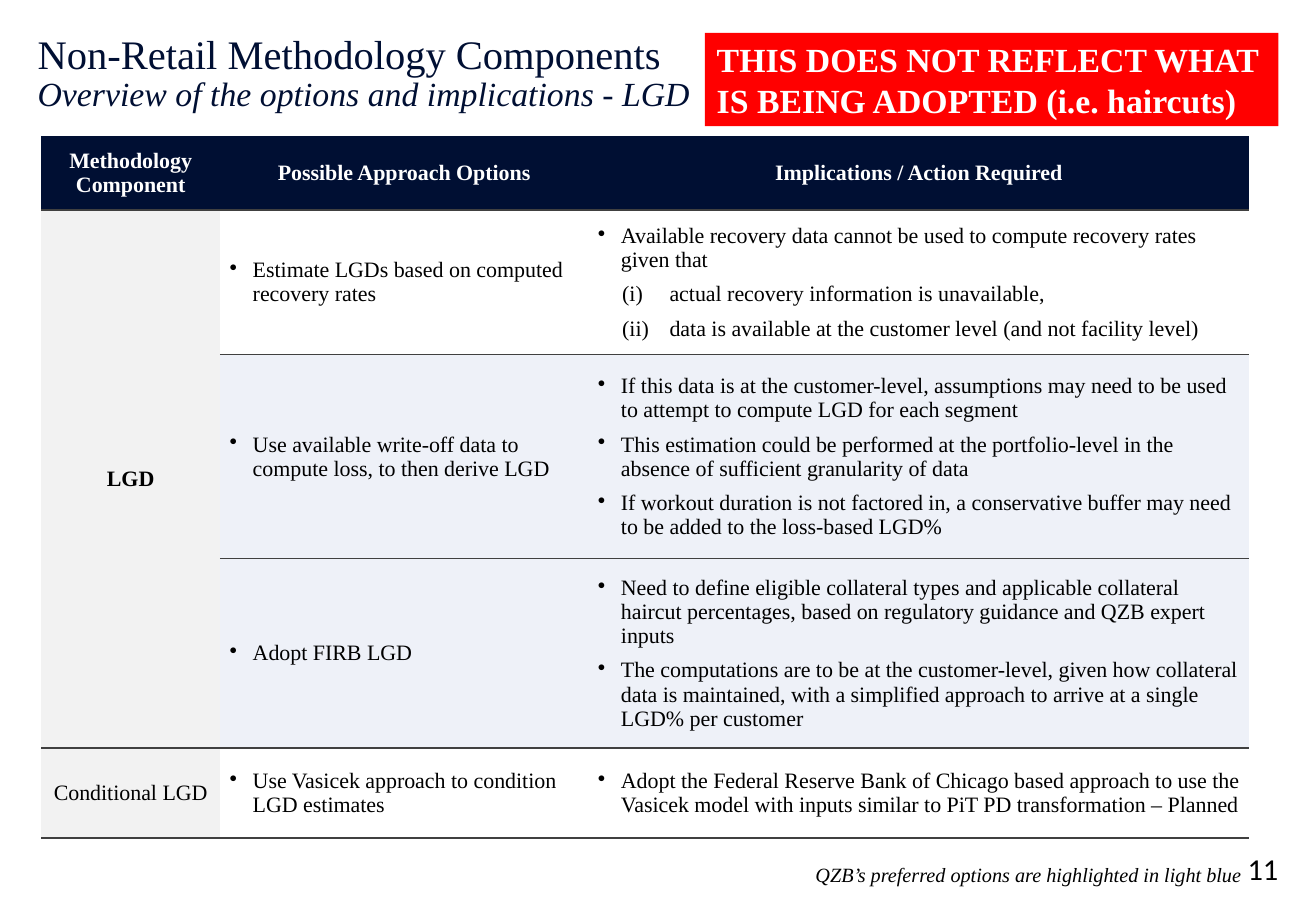
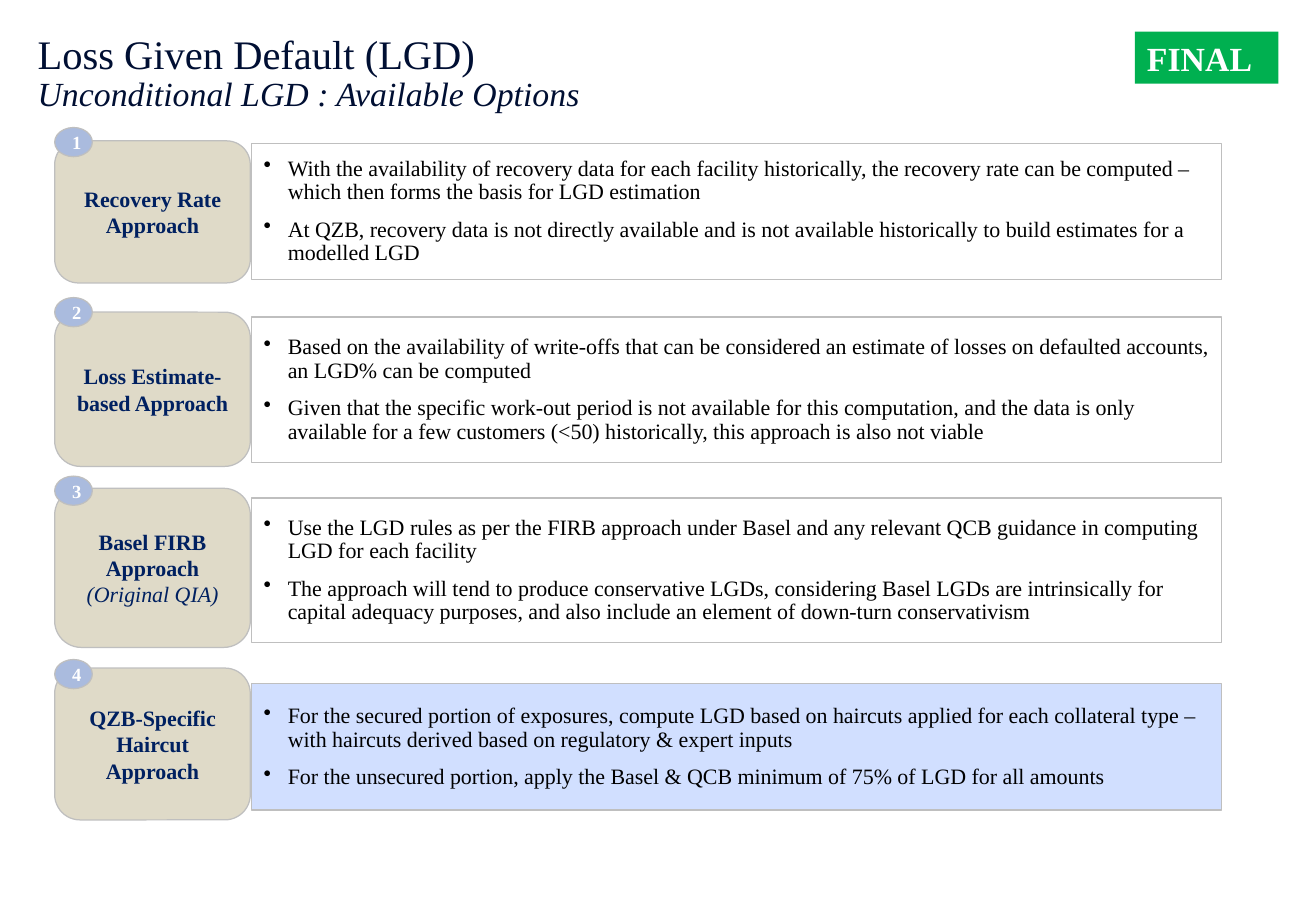
import pptx
import pptx.util
import pptx.dml.color
import pptx.enum.shapes
import pptx.enum.text
import pptx.oxml.ns
import lxml.etree

Inches = pptx.util.Inches
Pt = pptx.util.Pt
RGBColor = pptx.dml.color.RGBColor
Shape = pptx.enum.shapes.MSO_SHAPE
Align = pptx.enum.text.PP_ALIGN
Anchor = pptx.enum.text.MSO_ANCHOR

NAVY = RGBColor(0x00, 0x0F, 0x33)
BLUE_TEXT = RGBColor(0x00, 0x20, 0x60)
BLACK = RGBColor(0x00, 0x00, 0x00)
WHITE = RGBColor(0xFF, 0xFF, 0xFF)
RED = RGBColor(0xFF, 0x00, 0x00)
GREEN = RGBColor(0x00, 0xB0, 0x50)
SAND = RGBColor(0xDF, 0xDA, 0xC8)
BADGE_BLUE = RGBColor(0xAA, 0xBB, 0xDE)
CHOSEN_BLUE = RGBColor(0xD1, 0xDF, 0xFF)
PALE_BLUE = RGBColor(0xEE, 0xF1, 0xF8)
PALE_GREY = RGBColor(0xF2, 0xF2, 0xF2)
LINE_GREY = RGBColor(0xBF, 0xBF, 0xBF)
RULE_GREY = RGBColor(0x40, 0x40, 0x40)

SERIF = "Times New Roman"
NO_GRID_STYLE = "{2D5ABB26-0587-4C30-8999-92F81FD0307C}"
DOT = ("buChar", {"char": "•"})
ROMAN = ("buAutoNum", {"type": "romanLcParenBoth"})


def add_element(parent, tag, **attributes):
    return lxml.etree.SubElement(parent, pptx.oxml.ns.qn("a:" + tag), attributes)


def set_all(target, values):
    for name, value in values.items():
        setattr(target, name, value)


class Builder:
    """Holds the deck style and the current page."""

    def __init__(self):
        self.deck = pptx.Presentation()
        self.deck.slide_width = Inches(10.83)
        self.deck.slide_height = Inches(7.5)
        self.page = None

    def new_page(self, title, subtitle):
        self.page = self.deck.slides.add_slide(self.deck.slide_layouts[6])
        frame = self.text_box((0.31, 0.28, 10.2, 1.01), inset=(0, 0))
        self.para(frame, title, size=24, color=NAVY, line_spacing=0.9)
        self.para(frame, subtitle, size=20, color=NAVY, italic=True, line_spacing=0.9)

    def para(self, frame, text, size=13, color=BLACK, font=SERIF, bold=False,
             italic=False, bullet=None, indent=(0, 0), gap=0, **layout):
        """Write one paragraph; gap is the space before all but the first."""
        first = not frame.text
        para = frame.paragraphs[0] if first else frame.add_paragraph()
        if bullet:
            properties = para._p.get_or_add_pPr()
            properties.set("marL", str(Inches(indent[0])))
            properties.set("indent", str(Inches(indent[1])))
            add_element(properties, bullet[0], **bullet[1])
        set_all(para, {"alignment": Align.LEFT, **layout})
        if gap and not first:
            para.space_before = Pt(gap)
        span = para.add_run()
        span.text = text
        set_all(span.font, {"name": font, "size": Pt(size), "bold": bold, "italic": italic})
        span.font.color.rgb = color

    def prepare(self, frame, anchor, inset):
        across, down = (Inches(value) for value in inset)
        set_all(frame, {"word_wrap": True, "vertical_anchor": anchor,
                        "margin_left": across, "margin_right": across,
                        "margin_top": down, "margin_bottom": down})
        return frame

    def text_box(self, place, anchor=Anchor.TOP, inset=(0.1, 0.05)):
        box = self.page.shapes.add_textbox(*map(Inches, place))
        return self.prepare(box.text_frame, anchor, inset)

    def shape(self, kind, place, fill, line=LINE_GREY, anchor=Anchor.MIDDLE):
        box = self.page.shapes.add_shape(kind, *map(Inches, place))
        box.shadow.inherit = False
        box.fill.solid()
        box.fill.fore_color.rgb = fill
        if line is None:
            box.line.fill.background()
        else:
            box.line.color.rgb = line
            box.line.width = Pt(0.75)
        return self.prepare(box.text_frame, anchor, (0.1, 0.05))

    def stamp(self, place, fill, text):
        frame = self.shape(Shape.RECTANGLE, place, fill, None, Anchor.TOP)
        self.para(frame, text, size=20, color=WHITE, bold=True)

    def option(self, number, card, panel, badge_top, name, note, points, fill):
        """A numbered card with its panel of points; card and panel are (top, height)."""
        frame = self.shape(Shape.ROUNDED_RECTANGLE, (0.45, card[0], 1.61, card[1]), SAND)
        self.para(frame, name, color=BLUE_TEXT, bold=True, alignment=Align.CENTER)
        if note:
            self.para(frame, note, color=BLUE_TEXT, italic=True, alignment=Align.CENTER)
        frame = self.shape(Shape.RECTANGLE, (2.07, panel[0], 7.98, panel[1]), fill)
        for point in points:
            self.para(frame, point, bullet=DOT, indent=(0.2, -0.2), gap=8, line_spacing=0.9)
        frame = self.shape(Shape.OVAL, (0.45, badge_top, 0.31, 0.24), BADGE_BLUE)
        self.para(frame, str(number), size=11, color=WHITE, bold=True, alignment=Align.CENTER)

    def table(self, left, top, widths, heights):
        box = self.page.shapes.add_table(
            len(heights), len(widths), Inches(left), Inches(top),
            Inches(sum(widths)), Inches(sum(heights)))
        table = box.table
        table._tbl.tblPr.find(pptx.oxml.ns.qn("a:tableStyleId")).text = NO_GRID_STYLE
        set_all(table, {"first_row": False, "horz_banding": False})
        for column, width in zip(table.columns, widths):
            column.width = Inches(width)
        for row, height in zip(table.rows, heights):
            row.height = Inches(height)
        return table

    def cell(self, cell, fill):
        """Fill a cell, rule its bottom edge and return its text frame."""
        set_all(cell, {"vertical_anchor": Anchor.MIDDLE, "margin_top": 0, "margin_bottom": 0,
                       "margin_left": Inches(0.08), "margin_right": Inches(0.08)})
        properties = cell._tc.get_or_add_tcPr()
        rule = add_element(properties, "lnB", w=str(Pt(1)))
        add_element(add_element(rule, "solidFill"), "srgbClr", val=str(RULE_GREY))
        cell.fill.solid()
        cell.fill.fore_color.rgb = fill
        return cell.text_frame

    def cell_points(self, frame, points):
        for point in points:
            if isinstance(point, tuple):
                bullet, text = point
                self.para(frame, text, bullet=bullet, indent=(0.59, -0.39), gap=6)
            else:
                self.para(frame, point, bullet=DOT, indent=(0.19, -0.19), gap=6)


HEADINGS = ["Methodology Component", "Possible Approach Options",
            "Implications / Action Required"]

# Component, its boldness, option, implications, fill of the option
METHODS = [
    ("LGD", True, "Estimate LGDs based on computed recovery rates", [
        "Available recovery data cannot be used to compute recovery rates given that",
        (ROMAN, "actual recovery information is unavailable,"),
        (ROMAN, "data is available at the customer level (and not facility level)"),
    ], WHITE),
    ("", True, "Use available write-off data to compute loss, to then derive LGD", [
        "If this data is at the customer-level, assumptions may need to be used to attempt "
        "to compute LGD for each segment",
        "This estimation could be performed at the portfolio-level in the absence of "
        "sufficient granularity of data",
        "If workout duration is not factored in, a conservative buffer may need to be added "
        "to the loss-based LGD%",
    ], PALE_BLUE),
    ("", True, "Adopt FIRB LGD", [
        "Need to define eligible collateral types and applicable collateral haircut "
        "percentages, based on regulatory guidance and QZB expert inputs",
        "The computations are to be at the customer-level, given how collateral data is "
        "maintained, with a simplified approach to arrive at a single LGD% per customer",
    ], PALE_BLUE),
    ("Conditional LGD", False, "Use Vasicek approach to condition LGD estimates", [
        "Adopt the Federal Reserve Bank of Chicago based approach to use the Vasicek model "
        "with inputs similar to PiT PD transformation – Planned",
    ], WHITE),
]

# Card, panel, badge top, name, note, points, panel fill
OPTIONS = [
    ((1.16, 1.17), (1.18, 1.12), 1.05, "Recovery Rate Approach", "", [
        "With the availability of recovery data for each facility historically, the recovery "
        "rate can be computed – which then forms the basis for LGD estimation",
        "At QZB, recovery data is not directly available and is not available historically "
        "to build estimates for a modelled LGD",
    ], WHITE),
    ((2.57, 1.27), (2.61, 1.2), 2.45, "Loss Estimate-based Approach", "", [
        "Based on the availability of write-offs that can be considered an estimate of "
        "losses on defaulted accounts, an LGD% can be computed",
        "Given that the specific work-out period is not available for this computation, and "
        "the data is only available for a few customers (<50) historically, this approach "
        "is also not viable",
    ], WHITE),
    ((4.02, 1.31), (4.1, 1.19), 3.92, "Basel FIRB Approach", "(Original QIA)", [
        "Use the LGD rules as per the FIRB approach under Basel and any relevant QCB "
        "guidance in computing LGD for each facility",
        "The approach will tend to produce conservative LGDs, considering Basel LGDs are "
        "intrinsically for capital adequacy purposes, and also include an element of "
        "down-turn conservativism",
    ], WHITE),
    ((5.5, 1.25), (5.63, 1.04), 5.43, "QZB-Specific Haircut Approach", "", [
        "For the secured portion of exposures, compute LGD based on haircuts applied for "
        "each collateral type – with haircuts derived based on regulatory & expert inputs",
        "For the unsecured portion, apply the Basel & QCB minimum of 75% of LGD for all "
        "amounts",
    ], CHOSEN_BLUE),
]


def build_components(builder):
    builder.new_page("Non-Retail Methodology Components",
                     "Overview of the options and implications - LGD")
    frame = builder.text_box((10.04, 6.99, 0.48, 0.31), Anchor.BOTTOM, (0, 0))
    builder.para(frame, "11", size=18, font="Calibri", alignment=Align.RIGHT)

    # Methodology table
    table = builder.table(0.34, 1.12, (1.47, 3.03, 5.44), (0.61, 1.19, 1.68, 1.56, 0.74))
    for column, heading in enumerate(HEADINGS):
        frame = builder.cell(table.cell(0, column), NAVY)
        builder.para(frame, heading, color=WHITE, bold=True, alignment=Align.CENTER)
    for row, (component, bold, option, implications, fill) in enumerate(METHODS, 1):
        frame = builder.cell(table.cell(row, 0), PALE_GREY)
        if component:
            builder.para(frame, component, bold=bold, alignment=Align.CENTER)
        builder.cell_points(builder.cell(table.cell(row, 1), fill), [option])
        builder.cell_points(builder.cell(table.cell(row, 2), fill), implications)
    table.cell(1, 0).merge(table.cell(3, 0))

    # Footnote and warning
    frame = builder.text_box((2.96, 7.05, 7.36, 0.31))
    builder.para(frame, "QZB’s preferred options are highlighted in light blue",
                 size=12, italic=True, alignment=Align.RIGHT)
    builder.stamp((5.8, 0.27, 4.72, 0.77), RED,
                  "THIS DOES NOT REFLECT WHAT IS BEING ADOPTED (i.e. haircuts)")


def build_options(builder):
    builder.new_page("Loss Given Default (LGD)", "Unconditional LGD : Available Options")
    for number, option in enumerate(OPTIONS, 1):
        builder.option(number, *option)
    builder.stamp((9.34, 0.26, 1.18, 0.43), GREEN, "FINAL")


def main():
    builder = Builder()
    build_components(builder)
    build_options(builder)
    builder.deck.save("out.pptx")


if __name__ == "__main__":
    main()
